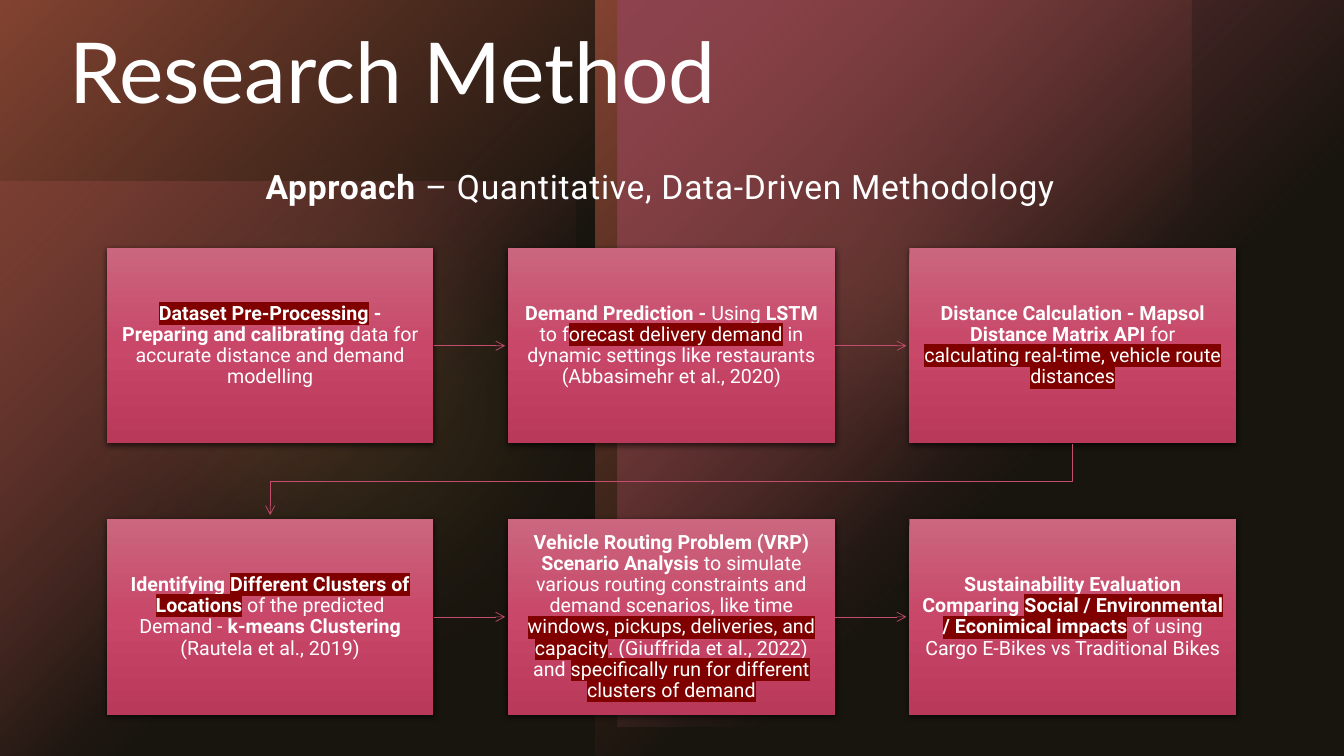
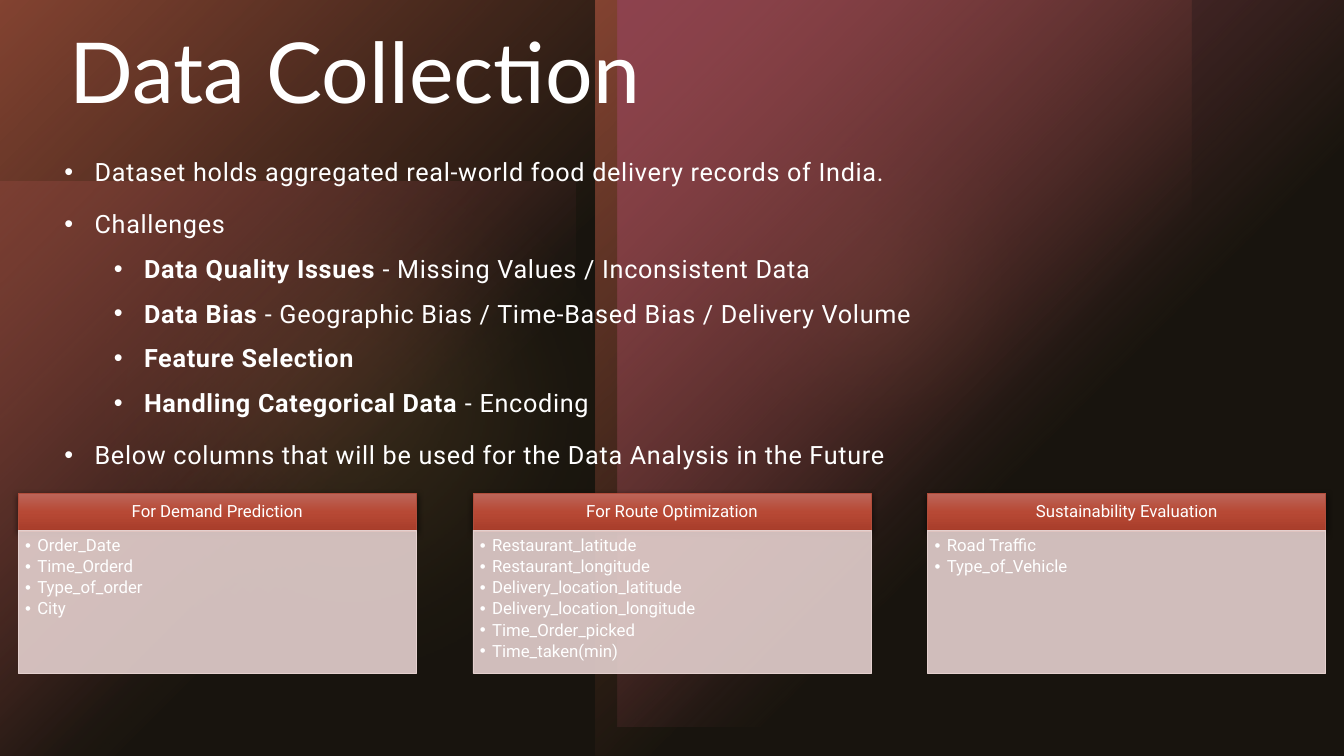
from typing import NamedTuple

from lxml import etree
from pptx import Presentation
from pptx.dml.color import RGBColor
from pptx.enum.shapes import MSO_CONNECTOR, MSO_SHAPE
from pptx.enum.text import MSO_ANCHOR, PP_ALIGN
from pptx.oxml import parse_xml
from pptx.oxml.ns import nsdecls, qn
from pptx.util import Emu, Inches, Pt

RECT, OVAL = MSO_SHAPE.RECTANGLE, MSO_SHAPE.OVAL
STRAIGHT = MSO_CONNECTOR.STRAIGHT
LEFT, CENTER = PP_ALIGN.LEFT, PP_ALIGN.CENTER
TOP, MIDDLE = MSO_ANCHOR.TOP, MSO_ANCHOR.MIDDLE

WIDTH, HEIGHT = 13.33, 7.5
BLACK, WHITE, MARK = "000000", "FFFFFF", "800000"
ROSE, RUST, SAND, VEIL, PALE = "C34D6C", "B14D3B", "C3904D", "3E3423", "E4D0CE"
HEAD_FONT, BODY_FONT = "Lato", "Roboto"
DOWN = '<a:lin ang="5400000" scaled="0"/>'
CORNER = '<a:path path="circle"><a:fillToRect r="100000" b="100000"/></a:path>'


class Box(NamedTuple):
    """A rectangle in inches."""
    x: float
    y: float
    w: float
    h: float


class Stop(NamedTuple):
    """A gradient stop, with place and opacity in percent."""
    place: int
    color: str
    alpha: int = 100


class Span(NamedTuple):
    """A piece of text with one format."""
    text: str
    bold: bool = False
    mark: bool = False


class Para(NamedTuple):
    """A paragraph of spans at a list level."""
    spans: tuple[Span, ...]
    level: int = 0


class Grid(NamedTuple):
    """Equal cells at a fixed pitch."""
    x: float
    y: float
    w: float
    h: float
    dx: float
    dy: float = 0

    def cell(self, col: int, row: int = 0) -> Box:
        """Return the box of one cell."""
        return Box(round(self.x + col * self.dx, 2), round(self.y + row * self.dy, 2), self.w, self.h)


class Glow(NamedTuple):
    """A gradient square or soft disc of the backdrop."""
    shape: int
    box: Box
    color: str
    alpha: int


class Card(NamedTuple):
    """A heading with its column names."""
    heading: str
    columns: tuple[str, ...]


PINK = (Stop(0, "CA677E"), Stop(50, "C94769"), Stop(100, "B9395A"))
RED = (Stop(0, "BC665A"), Stop(50, "B74935"), Stop(100, "A83D2A"))
GLOWS = (
    Glow(RECT, Box(0, 1.8, 5.71, 5.71), ROSE, 60),
    Glow(OVAL, Box(6.29, 0.43, 4.72, 4.72), SAND, 60),
    Glow(OVAL, Box(0, 0.56, 6.94, 6.94), SAND, 20),
    Glow(RECT, Box(0, 0, 5.91, HEIGHT), RUST, 100),
    Glow(RECT, Box(5.91, 0, 5.91, HEIGHT), RUST, 100),
    Glow(RECT, Box(6.13, 0, 7.21, 7.21), ROSE, 100),
)
STEP_GRID = Grid(1.06, 2.46, 3.24, 1.94, 3.98, 2.69)
HEAD_GRID = Grid(0.18, 4.89, 3.95, 0.38, 4.51)
LIST_GRID = Grid(0.18, 5.26, 3.95, 1.42, 4.51)
STEPS = (
    (Span("Dataset Pre-Processing", True, True), Span(" - Preparing and calibrating", True),
     Span(" data for accurate distance and demand modelling")),
    (Span("Demand Prediction - ", True), Span("Using "), Span("LSTM ", True), Span("to f"),
     Span("orecast delivery demand", mark=True),
     Span(" in dynamic settings like restaurants (Abbasimehr et al., 2020)")),
    (Span("Distance Calculation - Mapsol Distance Matrix API", True), Span(" for "),
     Span("calculating real-time, vehicle route distances", mark=True)),
    (Span("Identifying ", True), Span("Different Clusters of Locations", True, True),
     Span(" of the predicted Demand - "), Span("k-means Clustering", True),
     Span(" (Rautela et al., 2019)")),
    (Span("Vehicle Routing Problem (VRP) Scenario Analysis", True),
     Span(" to simulate various routing constraints and demand scenarios, like time "),
     Span("windows, pickups, deliveries, and capacity", mark=True),
     Span(". (Giuffrida et al., 2022) and "),
     Span("specifically run for different clusters of demand", mark=True)),
    (Span("Sustainability Evaluation Comparing ", True),
     Span("Social / Environmental / Econimical impacts", True, True), Span(" ", True),
     Span("of using Cargo E-Bikes vs Traditional Bikes")),
)
POINTS = (
    Para((Span("Dataset holds aggregated real-world food delivery records of India."),)),
    Para((Span("Challenges"),)),
    Para((Span("Data Quality Issues", True), Span(" - Missing Values / Inconsistent Data")), 1),
    Para((Span("Data Bias", True), Span(" - Geographic Bias / Time-Based Bias / Delivery Volume")), 1),
    Para((Span("Feature Selection", True),), 1),
    Para((Span("Handling Categorical Data ", True), Span("- Encoding")), 1),
    Para((Span("Below columns that will be used for the Data Analysis in the Future"),)),
)
CARDS = (
    Card("For Demand Prediction", ("Order_Date", "Time_Orderd", "Type_of_order", "City")),
    Card("For Route Optimization", (
        "Restaurant_latitude", "Restaurant_longitude", "Delivery_location_latitude",
        "Delivery_location_longitude", "Time_Order_picked", "Time_taken(min)")),
    Card("Sustainability Evaluation", ("Road Traffic", "Type_of_Vehicle")),
)


def rgb(color: str) -> RGBColor:
    """Turn a hex string into a colour."""
    return RGBColor.from_string(color)


def color_xml(color: str, alpha: int = 100) -> str:
    """Return a colour element with its opacity."""
    return f'<a:srgbClr val="{color}"><a:alpha val="{alpha * 1000}"/></a:srgbClr>'


def element(tag: str, inner: str = "", attrs: str = ""):
    """Build a drawing element."""
    return parse_xml(f'<a:{tag} {nsdecls("a")} {attrs}>{inner}</a:{tag}>')


def add_box(s, box: Box, stops: tuple[Stop, ...], *, shape: int = RECT, course: str = DOWN,
            line: str = "", effect: str = ""):
    """Draw a shape filled with one colour or a gradient."""
    sp = s.shapes.add_shape(shape, *map(Inches, box))
    sp.shadow.inherit = False
    sp.fill.background()
    if len(stops) == 1:
        fill = element("solidFill", color_xml(stops[0].color, stops[0].alpha))
    else:
        marks = "".join(f'<a:gs pos="{stop.place * 1000}">{color_xml(stop.color, stop.alpha)}</a:gs>'
                        for stop in stops)
        fill = element("gradFill", f"<a:gsLst>{marks}</a:gsLst>{course}", 'rotWithShape="1"')
    props = sp._element.spPr
    props.replace(props.find(qn("a:noFill")), fill)
    if line:
        sp.line.color.rgb = rgb(line)
        sp.line.width = Pt(0.5)
    else:
        sp.line.fill.background()
    if effect:
        props.replace(props.find(qn("a:effectLst")), element("effectLst", effect))
    return sp


def drop_shadow() -> str:
    """Return the shadow under boxes and headings."""
    return (f'<a:outerShdw blurRad="{Pt(4.5)}" dist="{Pt(1.5)}" dir="5400000" rotWithShape="0">'
            f'{color_xml(BLACK, 63)}</a:outerShdw>')


def write(sp, paras: tuple[Para, ...], *, size: float, font: str = BODY_FONT, align: int = LEFT,
          anchor: int = TOP, insets: tuple[float, ...] = (0.1, 0.05, 0.1, 0.05),
          spacing: float = 0.9, tracking: float = 0, before: tuple[float, ...] = (0, 0),
          after: float = 0, indents: tuple[float, ...] = (), hang: float = 0) -> None:
    """Fill a shape with formatted paragraphs, bulleted when indents are given."""
    tf = sp.text_frame
    tf.word_wrap = True
    tf.vertical_anchor = anchor
    tf.margin_left, tf.margin_top, tf.margin_right, tf.margin_bottom = map(Inches, insets)
    for i, para in enumerate(paras):
        p = tf.add_paragraph() if i else tf.paragraphs[0]
        p.alignment, p.line_spacing, p.level = align, spacing, para.level
        p.space_before = Pt(before[para.level] if i else 0)
        p.space_after = Pt(after)
        if indents:
            props = p._p.get_or_add_pPr()
            props.set("marL", str(Inches(indents[para.level])))
            props.set("indent", str(-Inches(hang)))
            props.append(element("buFont", attrs='typeface="Arial"'))
            props.append(element("buChar", attrs='char="•"'))
        for span in para.spans:
            r = p.add_run()
            r.text = span.text
            r.font.size, r.font.bold = Pt(size), span.bold
            r.font.color.rgb = rgb(WHITE)
            r.font.name = font
            props = r._r.get_or_add_rPr()
            if tracking:
                props.set("spc", str(int(tracking * 100)))
            if span.mark:
                props.find(qn("a:solidFill")).addnext(element("highlight", color_xml(MARK)))


def add_text(s, box: Box, paras: tuple[Para, ...], **style) -> None:
    """Place a text box."""
    write(s.shapes.add_textbox(*map(Inches, box)), paras, **style)


def style_arrow(sp) -> None:
    """Give a line its colour, width and open arrowhead."""
    sp.line.color.rgb = rgb(ROSE)
    sp.line.width = Pt(0.5)
    etree.SubElement(sp.line._get_or_add_ln(), qn("a:tailEnd"), type="arrow")


def add_arrow(s, start: Box, end: Box) -> None:
    """Join two neighbouring boxes of a row."""
    y = start.y + start.h / 2
    sp = s.shapes.add_connector(STRAIGHT, *map(Inches, (start.x + start.w, y, end.x - 0.03, y)))
    style_arrow(sp)
    sp._element.spPr.append(element("effectLst"))


def add_return(s, start: Box, end: Box) -> None:
    """Join the end of one row to the start of the next."""
    x1, x2 = start.x + start.w / 2, end.x + end.w / 2
    y1, y2 = start.y + start.h, end.y - 0.04
    bend = (start.y + start.h + end.y) / 2
    points = [(Inches(x), Inches(y)) for x, y in ((x1, y1), (x1, bend), (x2, bend), (x2, y2))]
    builder = s.shapes.build_freeform(*points[0])
    builder.add_line_segments(points[1:], close=False)
    sp = builder.convert_to_shape(Emu(0), Emu(0))
    sp.shadow.inherit = False
    sp.fill.background()
    style_arrow(sp)


def add_slide(prs, title: str):
    """Add a slide with the shared backdrop and title."""
    s = prs.slides.add_slide(prs.slide_layouts[6])
    s.background.fill.solid()
    s.background.fill.fore_color.rgb = rgb(BLACK)
    for glow in GLOWS:
        if glow.shape == OVAL:
            add_box(s, glow.box, (Stop(0, glow.color, glow.alpha),), shape=OVAL,
                    effect=f'<a:softEdge rad="{Pt(100)}"/>')
        else:
            add_box(s, glow.box, (Stop(0, glow.color, glow.alpha), Stop(60, glow.color, 0)),
                    course=CORNER)
    add_box(s, Box(0, 0, WIDTH, HEIGHT), (Stop(0, VEIL, 40),))
    add_text(s, Box(0.59, 0.26, 12.14, 1.03), (Para((Span(title),)),), size=60, font=HEAD_FONT)
    return s


def add_method(prs) -> None:
    """Build the slide of research steps."""
    s = add_slide(prs, "Research Method")
    approach = Para((Span("Approach", True), Span(" – Quantitative, Data-Driven Methodology")))
    add_text(s, Box(0.48, 1.5, 12.14, 0.7), (approach,), size=24, align=CENTER, spacing=1.25,
             tracking=0.5)
    cells = [STEP_GRID.cell(i % 3, i // 3) for i in range(len(STEPS))]
    for cell, spans in zip(cells, STEPS):
        sp = add_box(s, cell, PINK, effect=drop_shadow())
        write(sp, (Para(spans),), size=14, align=CENTER, anchor=MIDDLE, insets=(0.11,) * 4)
    for start, end in zip(cells, cells[1:]):
        join = add_arrow if start.y == end.y else add_return
        join(s, start, end)


def add_data(prs) -> None:
    """Build the slide of data sources and columns."""
    s = add_slide(prs, "Data Collection")
    add_text(s, Box(0.54, 1.43, 12.14, 3.4), POINTS, size=18, spacing=1.25, tracking=0.5,
             before=(10, 5), indents=(0.3, 0.79), hang=0.3)
    for i, card in enumerate(CARDS):
        head = add_box(s, HEAD_GRID.cell(i), RED, line=RUST, effect=drop_shadow())
        write(head, (Para((Span(card.heading),)),), size=12, align=CENTER, anchor=MIDDLE)
        body = add_box(s, LIST_GRID.cell(i), (Stop(0, PALE, 90),), line=PALE)
        write(body, tuple(Para((Span(name),)) for name in card.columns), size=12, after=2.1,
              insets=(0.07, 0.07, 0.09, 0.1), indents=(0.12,), hang=0.12)


def main() -> None:
    """Build and save the presentation."""
    prs = Presentation()
    prs.slide_width, prs.slide_height = Inches(WIDTH), Inches(HEIGHT)
    add_method(prs)
    add_data(prs)
    prs.save("out.pptx")


if __name__ == "__main__":
    main()
